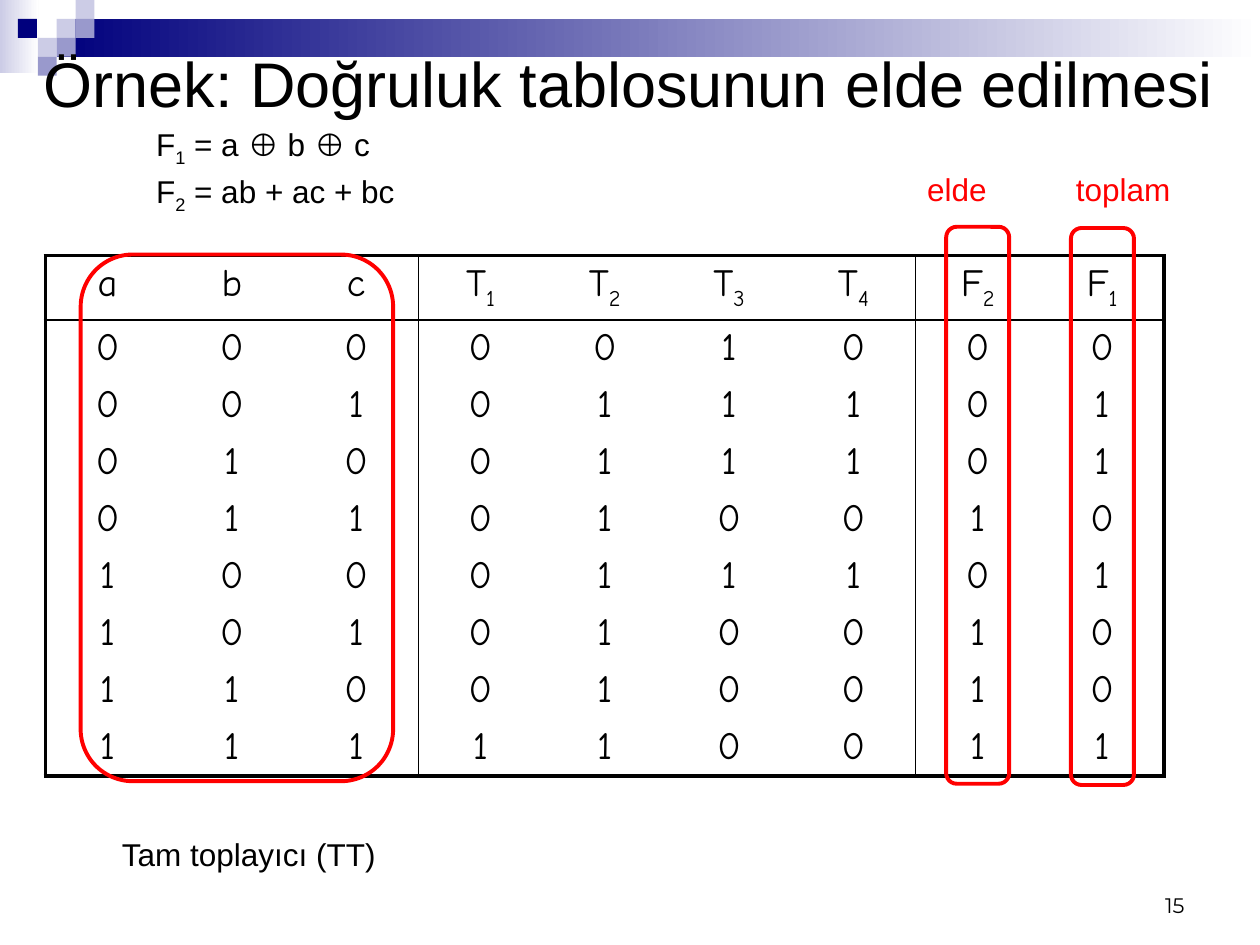
from lxml import etree
from pptx import Presentation
from pptx import util as u
from pptx.dml.color import RGBColor
from pptx.enum import shapes, text
from pptx.oxml.ns import qn

BLACK, RED, NAVY, LILAC, VIOLET, WHITE = "000000", "FF0000", "00007D", "CCCCE6", "9999CC", "FFFFFF"
color = RGBColor.from_string


def add_spans(para, content, size, font="Arial", ink=BLACK):
    """Write content into para; each part after an underscore starts with one subscript character."""
    first, *rest = content.split("_")
    pieces = [(first, False)]
    for part in rest:
        pieces += [(part[0], True), (part[1:], False)]
    for words, lowered in pieces:
        if not words:
            continue
        span = para.add_run()
        span.text = words
        for name, value in {"size": u.Pt(size), "name": font}.items():
            setattr(span.font, name, value)
        span.font.color.rgb = color(ink)
        if lowered:
            span.font._rPr.set("baseline", "-25000")


deck = Presentation()
deck.slide_width, deck.slide_height = u.Inches(10), u.Inches(7.5)
page = deck.slides.add_slide(deck.slide_layouts[6])

# Header band: gradient bars and small squares on a 0.15 inch grid (column, row, columns, rows)
GRID = u.Inches(0.15)
header = [
    (0, 0, 2.05, 3.87, [LILAC, WHITE]),
    (3, 1, 63.67, 2, [NAVY, WHITE]),
    (3, 1, 1, 1, [LILAC]),
    (4, 0, 1, 1, [LILAC]),
    (4, 1, 1, 1, [VIOLET]),
    (2, 2, 1, 1, [LILAC]),
    (0.95, 1, 1, 1, [NAVY]),
    (3, 2, 1, 1, [VIOLET]),
    (2, 3, 1, 1, [VIOLET]),
]
for *cells, inks in header:
    block = page.shapes.add_shape(shapes.MSO_SHAPE.RECTANGLE, *(int(n * GRID) for n in cells))
    block.shadow.inherit = False
    block.line.fill.background()
    if len(inks) == 1:
        block.fill.solid()
        block.fill.fore_color.rgb = color(inks[0])
    else:
        block.fill.gradient()
        block.fill.gradient_angle = 0
        for stop, ink, position in zip(block.fill.gradient_stops, inks, (0, 1)):
            stop.color.rgb = color(ink)
            stop.position = position

# Truth table
truth = ["a b c T_1 T_2 T_3 T_4 F_2 F_1".split()] + [
    list(digits) for digits in (
        "000001000", "001011101", "010011101", "011010010",
        "100011101", "101010010", "110010010", "111110011")
]
ROWS, COLUMNS = len(truth), len(truth[0])
HEAD_ROW, BODY_ROW = 0.51, 0.45
frame = page.shapes.add_table(ROWS, COLUMNS, u.Inches(0.36), u.Inches(2.03),
                              u.Inches(8.88), u.Inches(HEAD_ROW + BODY_ROW * (ROWS - 1)))
table = frame.table
table.first_row = table.horz_banding = False
column_rules = {0: 2.25, 3: 1, 7: 1, COLUMNS: 2.25}
row_rules = {0: 2.25, 1: 1, ROWS: 2.25}
for r, values in enumerate(truth):
    table.rows[r].height = u.Inches(BODY_ROW if r else HEAD_ROW)
    for c, value in enumerate(values):
        cell = table.cell(r, c)
        para = cell.text_frame.paragraphs[0]
        para.alignment = text.PP_ALIGN.CENTER
        add_spans(para, value, 22, "Comic Neue")
        edges = {"a:lnL": column_rules.get(c), "a:lnR": column_rules.get(c + 1),
                 "a:lnT": row_rules.get(r), "a:lnB": row_rules.get(r + 1)}
        properties = cell._tc.get_or_add_tcPr()
        for tag, width in edges.items():
            edge = etree.SubElement(properties, qn(tag), w=str(u.Pt(width or 0)))
            if width:
                solid = etree.SubElement(edge, qn("a:solidFill"))
                etree.SubElement(solid, qn("a:srgbClr"), val=BLACK)
            else:
                etree.SubElement(edge, qn("a:noFill"))
        cell.fill.background()

# Red outlines around the inputs and the two outputs
for place in [(0.64, 2.02, 2.48, 4.18), (7.51, 1.8, 0.5, 4.42), (8.5, 1.81, 0.5, 4.42)]:
    outline = page.shapes.add_shape(shapes.MSO_SHAPE.ROUNDED_RECTANGLE, *map(u.Inches, place))
    outline.shadow.inherit = False
    outline.fill.background()
    outline.line.color.rgb = color(RED)
    outline.line.width = u.Pt(2.25)

# Texts: place, lines, size, font, ink, format of the frame, format of each paragraph, left indent
TOP, MIDDLE, BOTTOM = (text.MSO_ANCHOR.TOP, text.MSO_ANCHOR.MIDDLE, text.MSO_ANCHOR.BOTTOM)
label = {"word_wrap": False, "vertical_anchor": TOP}
texts = [
    ((7.17, 6.83, 2.33, 0.5), ["15"], 12, "Montserrat", BLACK,
     {"word_wrap": True, "vertical_anchor": BOTTOM}, {"alignment": text.PP_ALIGN.RIGHT}, 0),
    ((0.25, 0.15, 9.58, 1), ["Örnek: Doğruluk tablosunun elde edilmesi"], 36, "Arial", BLACK,
     {"word_wrap": True, "vertical_anchor": MIDDLE}, {}, 0),
    ((8.44, 1.3, 0.96, 0.4), ["toplam"], 18, "Arial", RED, label, {}, 0),
    ((7.26, 1.3, 0.68, 0.4), ["elde"], 18, "Arial", RED, label, {}, 0),
    ((0.87, 6.58, 2.24, 0.4), ["Tam toplayıcı (TT)"], 18, "Arial", BLACK, label, {}, 0),
    ((0.64, 0.91, 5, 0.98), ["F_1 = a ⊕ b ⊕ c", "F_2 = ab + ac + bc"], 18, "Arial", BLACK,
     {"word_wrap": True, "vertical_anchor": TOP}, {"line_spacing": 1.1}, 0.5),
]
for place, lines, size, font, ink, frame_format, para_format, indent in texts:
    box = page.shapes.add_textbox(*map(u.Inches, place))
    for name, value in frame_format.items():
        setattr(box.text_frame, name, value)
    for number, line in enumerate(lines):
        para = box.text_frame.add_paragraph() if number else box.text_frame.paragraphs[0]
        for name, value in para_format.items():
            setattr(para, name, value)
        if indent:
            para._p.get_or_add_pPr().set("marL", str(u.Inches(indent)))
        add_spans(para, line, size, font, ink)

deck.save("out.pptx")
